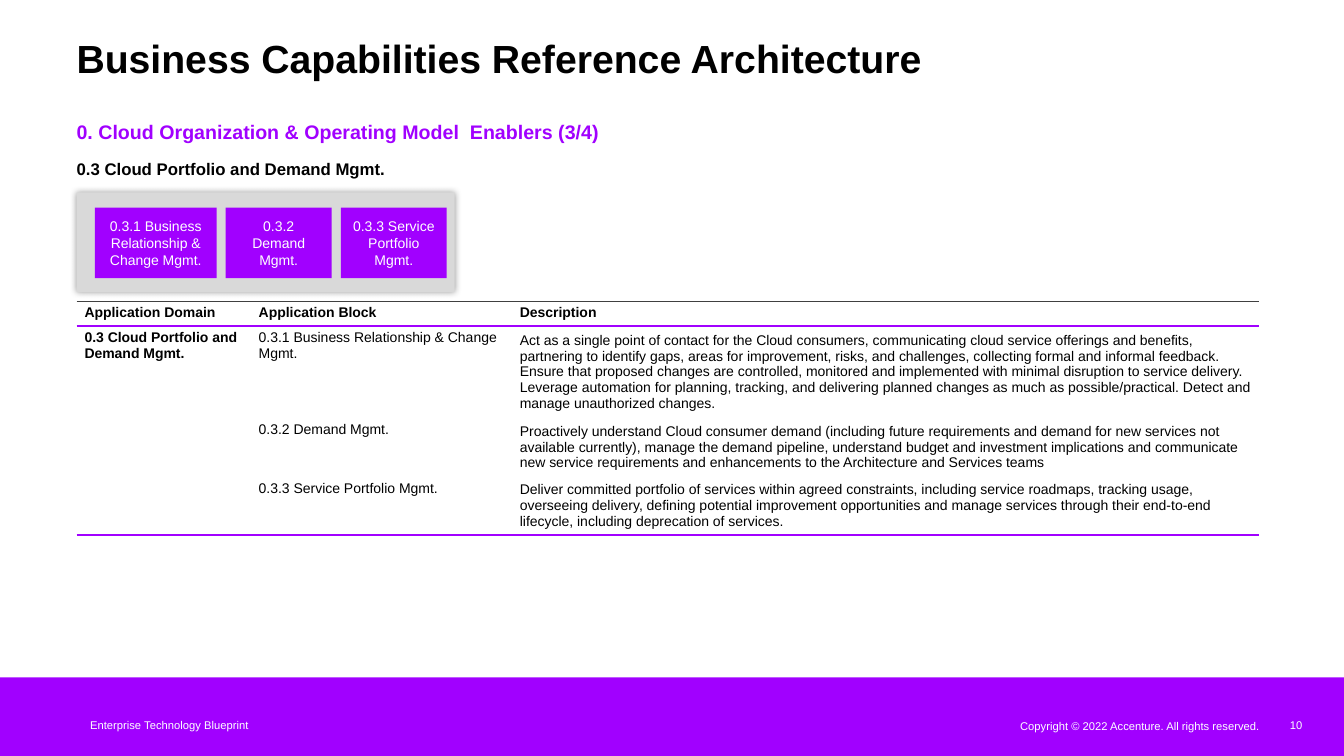
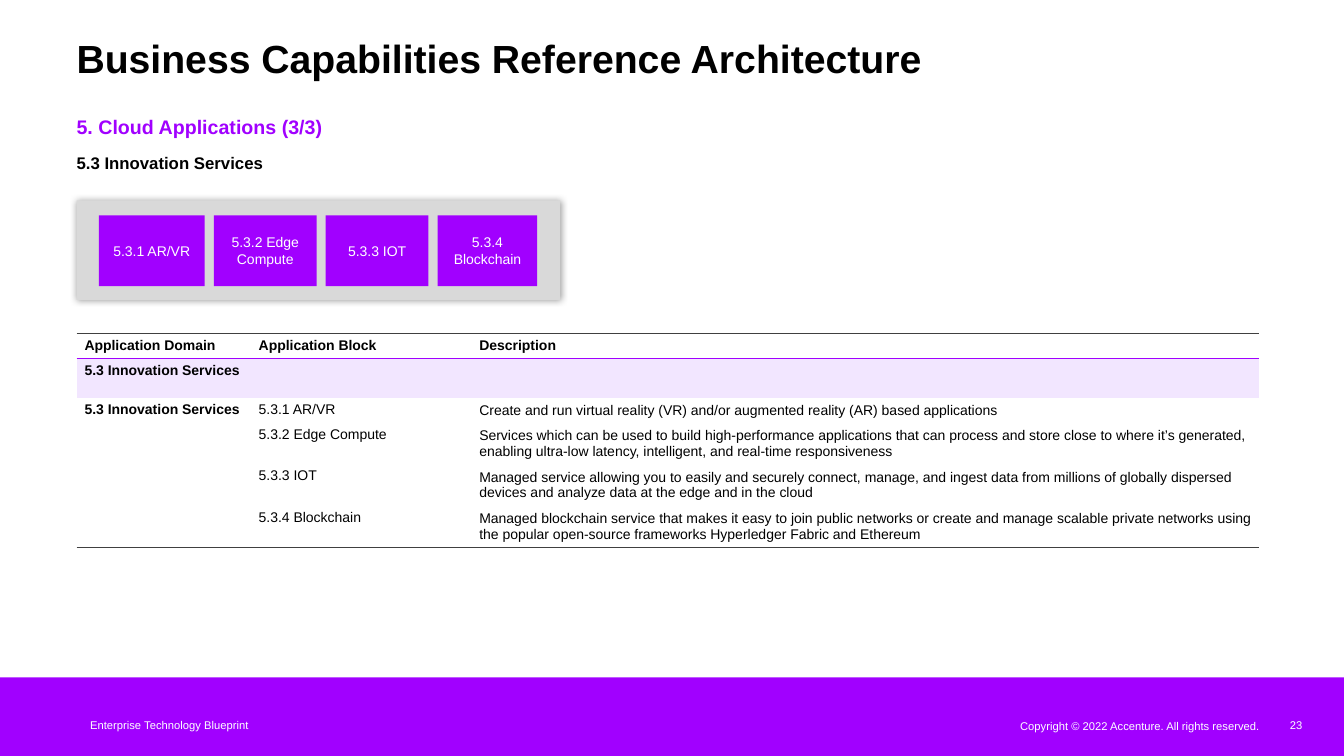
from itertools import accumulate

from lxml import etree
from pptx import Presentation
from pptx.dml.color import RGBColor
from pptx.enum.shapes import MSO_SHAPE
from pptx.enum.text import MSO_ANCHOR, PP_ALIGN
from pptx.oxml.ns import qn
from pptx.util import Cm, Pt

RECTANGLE = MSO_SHAPE.RECTANGLE
TOP, MIDDLE = MSO_ANCHOR.TOP, MSO_ANCHOR.MIDDLE
LEFT, CENTER, RIGHT = PP_ALIGN.LEFT, PP_ALIGN.CENTER, PP_ALIGN.RIGHT

COLORS = {
    "purple": "A100FF",
    "lilac": "F2E6FF",
    "panel": "D9D9D9",
    "rule": "404040",
    "black": "000000",
    "white": "FFFFFF",
}
FONT = "Arial"
NO_TABLE_STYLE = "{2D5ABB26-0587-4C30-8999-92F81FD0307C}"

# Text formats: size, bold, colour
FORMATS = {
    "title": {"size": Pt(28), "bold": True, "color": "black"},
    "section": {"size": Pt(14), "bold": True, "color": "purple"},
    "domain": {"size": Pt(12), "bold": True, "color": "black"},
    "block": {"size": Pt(10), "bold": False, "color": "white"},
    "strong": {"size": Pt(10), "bold": True, "color": "black"},
    "cell": {"size": Pt(10), "bold": False, "color": "black"},
    "footer": {"size": Pt(8), "bold": False, "color": "white"},
}

# Shared layout, in centimetres
SLIDE_WIDTH, SLIDE_HEIGHT = 33.87, 19.05
MARGIN, TEXT_WIDTH = 1.93, 30.89
BAND_TOP = 17.07
PANEL_HEIGHT, BLOCK_HEIGHT, BLOCK_INSET, BLOCK_GAP = 2.51, 1.78, 0.38, 0.23
CELL_MARGINS = {
    "margin_left": Cm(0.2),
    "margin_right": Cm(0.2),
    "margin_top": Cm(0.1),
    "margin_bottom": Cm(0.1),
}

# Content
TITLE = "Business Capabilities Reference Architecture"
FOOTER = "Enterprise Technology Blueprint"
COPYRIGHT = "Copyright © 2022 Accenture. All rights reserved."
HEADER = ("Application Domain", "Application Block", "Description")

SLIDES = [
    {
        "number": "10",
        "section": ("0. Cloud Organization & Operating Model  Enablers (3/4)", 3.02),
        "domain": ("0.3 Cloud Portfolio and Demand Mgmt.", 4.01),
        "panel": {"top": 4.85, "width": 9.53, "indent": 0.46},
        "block_widths": (3.07, 2.67, 2.67),
        "table_top": 7.59,
        "columns": (4.39, 6.58, 18.82),
        "rows": (0.59, 2.2, 1.4, 1.38),
        "domain_row": False,
        "bottom_rule": "purple",
        "blocks": [
            ("0.3.1 Business Relationship & Change Mgmt.",
             "Act as a single point of contact for the Cloud consumers, communicating cloud "
             "service offerings and benefits, partnering to identify gaps, areas for "
             "improvement, risks, and challenges, collecting formal and informal feedback. "
             "Ensure that proposed changes are controlled, monitored and implemented with "
             "minimal disruption to service delivery. Leverage automation for planning, "
             "tracking, and delivering planned changes as much as possible/practical. "
             "Detect and manage unauthorized changes."),
            ("0.3.2 Demand Mgmt.",
             "Proactively understand Cloud consumer demand (including future requirements "
             "and demand for new services not available currently), manage the demand "
             "pipeline, understand budget and investment implications and communicate new "
             "service requirements and enhancements to the Architecture and Services teams"),
            ("0.3.3 Service Portfolio Mgmt.",
             "Deliver committed portfolio of services within agreed constraints, including "
             "service roadmaps, tracking usage, overseeing delivery, defining potential "
             "improvement opportunities and manage services through their end-to-end "
             "lifecycle, including deprecation of services."),
        ],
    },
    {
        "number": "23",
        "section": ("5. Cloud Applications (3/3)", 2.9),
        "domain": ("5.3 Innovation Services", 3.84),
        "panel": {"top": 5.05, "width": 12.19, "indent": 0.56},
        "block_widths": (2.67, 2.59, 2.59, 2.51),
        "table_top": 8.41,
        "columns": (4.39, 5.56, 19.84),
        "rows": (0.6, 0.99, 0.59, 0.99, 0.99, 0.99),
        "domain_row": True,
        "bottom_rule": "rule",
        "blocks": [
            ("5.3.1 AR/VR",
             "Create and run virtual reality (VR) and/or augmented reality (AR) based "
             "applications"),
            ("5.3.2 Edge Compute",
             "Services which can be used to build high-performance applications that can "
             "process and store close to where it’s generated, enabling ultra-low latency, "
             "intelligent, and real-time responsiveness"),
            ("5.3.3 IOT",
             "Managed service allowing you to easily and securely connect, manage, and "
             "ingest data from millions of globally dispersed devices and analyze data at "
             "the edge and in the cloud"),
            ("5.3.4 Blockchain",
             "Managed blockchain service that makes it easy to join public networks or "
             "create and manage scalable private networks using the popular open-source "
             "frameworks Hyperledger Fabric and Ethereum"),
        ],
    },
]


def rgb(name):
    return RGBColor.from_string(COLORS[name])


def write(text_frame, text, style, align=LEFT):
    paragraph = text_frame.paragraphs[0]
    paragraph.text = text
    paragraph.alignment = align
    font = paragraph.runs[0].font if text else paragraph.font
    font.name = FONT
    for name, value in FORMATS[style].items():
        if name == "color":
            font.color.rgb = rgb(value)
        else:
            setattr(font, name, value)
    return paragraph


def add_text(slide, box, text, style, align=LEFT, anchor=TOP):
    text_frame = slide.shapes.add_textbox(*map(Cm, box)).text_frame
    settings = {"word_wrap": True, "vertical_anchor": anchor}
    settings.update(dict.fromkeys(CELL_MARGINS, 0))
    for name, value in settings.items():
        setattr(text_frame, name, value)
    return write(text_frame, text, style, align)


def add_rectangle(slide, box, color):
    shape = slide.shapes.add_shape(RECTANGLE, *map(Cm, box))
    shape.shadow.inherit = False
    shape.fill.solid()
    shape.fill.fore_color.rgb = rgb(color)
    shape.line.fill.background()
    return shape


def add_glow_shadow(shape):
    effects = shape._element.spPr.find(qn("a:effectLst"))
    shadow = etree.SubElement(effects, qn("a:outerShdw"), blurRad=str(Pt(5)),
                              dist="0", dir="0", algn="ctr", rotWithShape="0")
    color = etree.SubElement(shadow, qn("a:srgbClr"), val=COLORS["black"])
    etree.SubElement(color, qn("a:alpha"), val="40000")


def set_borders(cell, borders):
    """Draw borders given as (tag, colour) pairs, in schema order."""
    properties = cell._tc.get_or_add_tcPr()
    for position, (tag, color) in enumerate(borders):
        line = etree.Element(qn(tag), w=str(Pt(1)))
        fill = etree.SubElement(line, qn("a:solidFill"))
        etree.SubElement(fill, qn("a:srgbClr"), val=COLORS[color])
        properties.insert(position, line)


def add_frame(slide, number):
    # Footer band, footer texts and title
    add_rectangle(slide, (0, BAND_TOP, SLIDE_WIDTH, SLIDE_HEIGHT - BAND_TOP), "purple")
    for box, text in (
        ((23.11, 18.01, 8.64, 0.56), COPYRIGHT),
        ((31.75, 17.98, 1.07, 0.58), number),
        ((1.88, 18.11, 4.39, 0.33), FOOTER),
    ):
        add_text(slide, box, text, "footer", RIGHT, MIDDLE)
    title = add_text(slide, (MARGIN, 1.09, TEXT_WIDTH, 0.97), TITLE, "title")
    title.line_spacing = 0.8


def add_blocks(slide, content):
    # Grey panel with a row of purple blocks
    panel, widths = content["panel"], content["block_widths"]
    add_glow_shadow(add_rectangle(
        slide, (MARGIN, panel["top"], panel["width"], PANEL_HEIGHT), "panel"))
    steps = [width + BLOCK_GAP for width in widths[:-1]]
    lefts = accumulate(steps, initial=MARGIN + panel["indent"])
    for left, width, (name, _) in zip(lefts, widths, content["blocks"]):
        box = (left, panel["top"] + BLOCK_INSET, width, BLOCK_HEIGHT)
        text_frame = add_rectangle(slide, box, "purple").text_frame
        text_frame.word_wrap = True
        text_frame.vertical_anchor = MIDDLE
        write(text_frame, name, "block", CENTER)


def add_description_table(slide, content):
    domain = content["domain"][0]
    columns, heights = content["columns"], content["rows"]
    rows = [HEADER]
    if content["domain_row"]:
        rows.append((domain, "", ""))
    first = len(rows)
    rows += [(domain if index == 0 else "", *block)
             for index, block in enumerate(content["blocks"])]
    last = len(rows) - 1

    table = slide.shapes.add_table(
        len(rows), len(columns), Cm(MARGIN), Cm(content["table_top"]),
        Cm(sum(columns)), Cm(sum(heights))).table
    table.first_row = table.horz_banding = False
    table._tbl.tblPr.find(qn("a:tableStyleId")).text = NO_TABLE_STYLE
    for column, width in zip(table.columns, columns):
        column.width = Cm(width)
    for row, height in zip(table.rows, heights):
        row.height = Cm(height)

    # Cells
    for row_index, texts in enumerate(rows):
        for column_index, text in enumerate(texts):
            cell = table.cell(row_index, column_index)
            for name, value in CELL_MARGINS.items():
                setattr(cell, name, value)
            is_strong = row_index == 0 or column_index == 0
            write(cell.text_frame, text, "strong" if is_strong else "cell")
            is_description = row_index >= first and column_index == 2
            cell.vertical_anchor = MIDDLE if is_description else TOP
            if 0 < row_index < first:
                cell.fill.solid()
                cell.fill.fore_color.rgb = rgb("lilac")
            else:
                cell.fill.background()
            if row_index == 0:
                set_borders(cell, [("a:lnT", "rule"), ("a:lnB", "purple")])
            elif row_index == last or (row_index, column_index) == (first, 0):
                set_borders(cell, [("a:lnB", content["bottom_rule"])])

    # Merged cells
    table.cell(first, 0).merge(table.cell(last, 0))
    if content["domain_row"]:
        table.cell(1, 0).merge(table.cell(1, 1))


def main():
    presentation = Presentation()
    presentation.slide_width = Cm(SLIDE_WIDTH)
    presentation.slide_height = Cm(SLIDE_HEIGHT)
    for content in SLIDES:
        slide = presentation.slides.add_slide(presentation.slide_layouts[6])
        add_frame(slide, content["number"])
        for style in ("section", "domain"):
            text, top = content[style]
            add_text(slide, (MARGIN, top, TEXT_WIDTH, 0.61), text, style)
        add_blocks(slide, content)
        add_description_table(slide, content)
    presentation.save("out.pptx")


if __name__ == "__main__":
    main()
